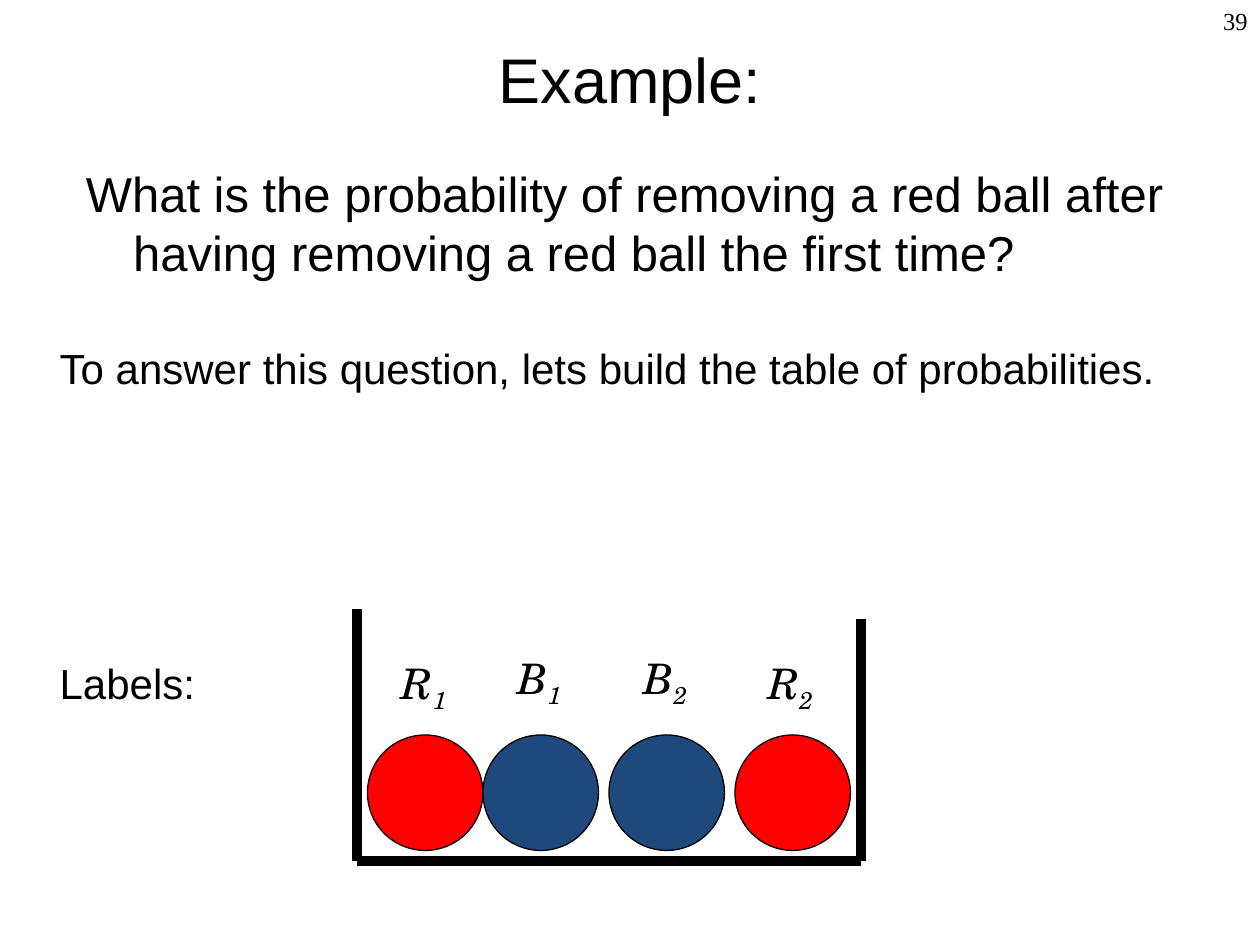
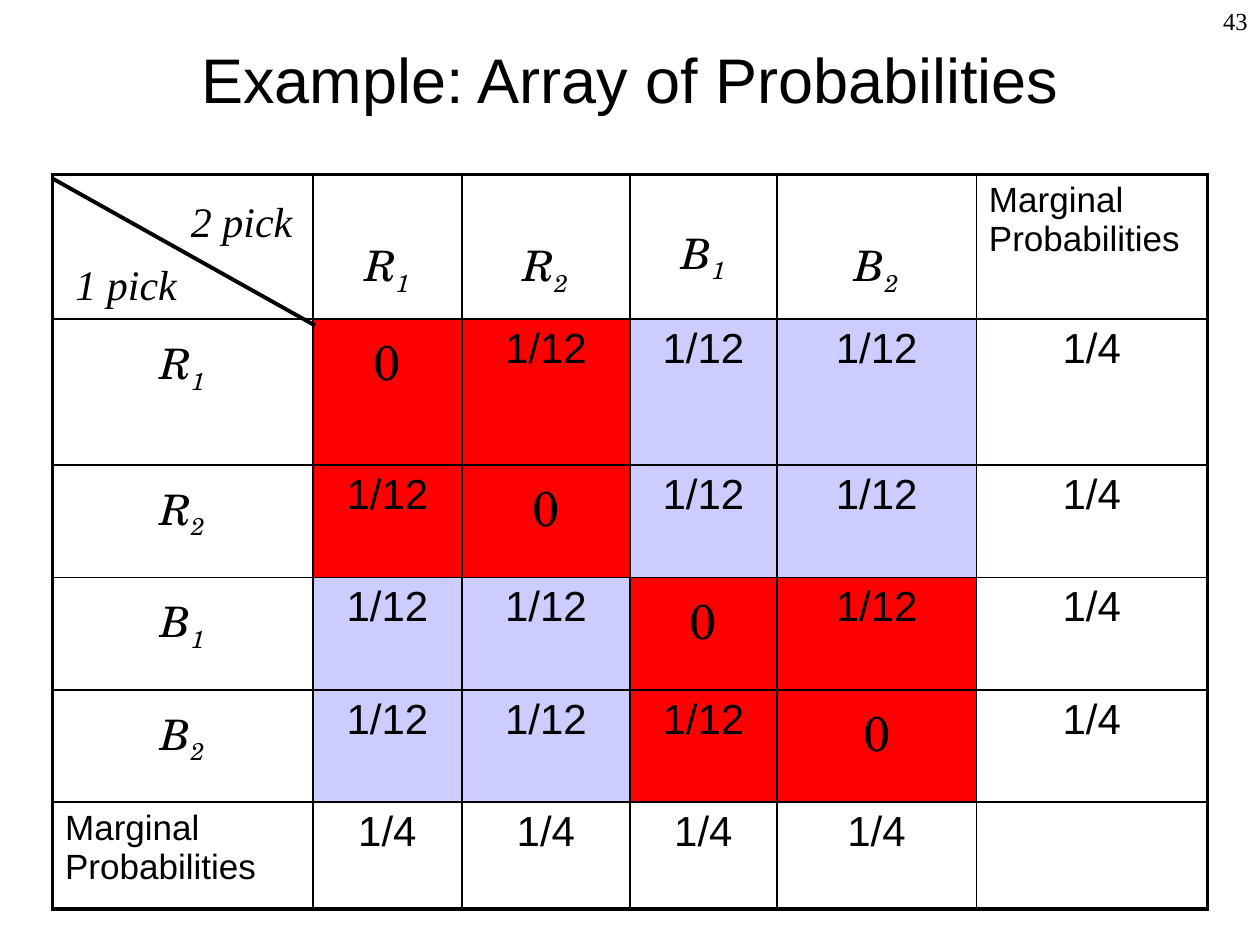
from dataclasses import dataclass

from lxml import etree
from pptx import Presentation
from pptx.dml.color import RGBColor
from pptx.enum.shapes import MSO_CONNECTOR, MSO_SHAPE
from pptx.enum.text import MSO_ANCHOR, PP_ALIGN
from pptx.oxml.ns import qn
from pptx.util import Pt

PX = 7620
LEFT, CENTER, RIGHT = PP_ALIGN.LEFT, PP_ALIGN.CENTER, PP_ALIGN.RIGHT
MIDDLE = MSO_ANCHOR.MIDDLE
OVAL = MSO_SHAPE.OVAL
STRAIGHT = MSO_CONNECTOR.STRAIGHT


@dataclass(frozen=True)
class Theme:
    ink: RGBColor = RGBColor(0, 0, 0)
    paper: RGBColor = RGBColor(255, 255, 255)
    red: RGBColor = RGBColor(255, 0, 0)
    blue: RGBColor = RGBColor(0x1F, 0x49, 0x7D)
    lilac: RGBColor = RGBColor(0xCC, 0xCC, 0xFF)
    sans: str = "Arial"
    serif: str = "Times New Roman"
    symbol: str = "TeX Gyre Schola"
    title: int = 36
    large: int = 28
    body: int = 24
    small: int = 20
    number: int = 14
    outer_border: float = 2.21
    inner_border: float = 0.96


theme = Theme()


def add_spans(para, texts, font, size, italic=False, align=LEFT, spacing=None):
    para.alignment = align
    para.line_spacing = spacing
    for index, text in enumerate(texts):
        span = para.add_run()
        span.text = text
        span.font.name = font
        span.font.size = Pt(size)
        span.font.italic = italic
        span.font.color.rgb = theme.ink
        if index:
            span.font._element.set("baseline", "-25000")


def add_box(page, x, y, width, height, texts, font, size, **style):
    box = page.shapes.add_textbox(x * PX, y * PX, width * PX, height * PX)
    box.text_frame.word_wrap = True
    para = box.text_frame.paragraphs[0]
    add_spans(para, texts, font, size, **style)
    return para


deck = Presentation()
deck.slide_width, deck.slide_height = 1200 * PX, 900 * PX

pages = []
for number, heading in [("39", "Example:"), ("43", "Example: Array of Probabilities")]:
    page = deck.slides.add_slide(deck.slide_layouts[5])
    title = page.shapes.title
    title.left, title.top, title.width, title.height = 90 * PX, 0, 1020 * PX, 150 * PX
    title.text_frame.vertical_anchor = MIDDLE
    add_spans(title.text_frame.paragraphs[0], [heading], theme.sans, theme.title, align=CENTER)
    add_box(page, 950, 0, 250, 60, [number], theme.serif, theme.number, align=RIGHT)
    pages.append(page)
urn_page, array_page = pages

question = add_box(
    urn_page, 70, 150, 1050, 330,
    ["What is the probability of removing a red ball after having removing a red ball the first time?"],
    theme.sans, theme.large)
indent = question._p.get_or_add_pPr()
indent.set("marL", str(45 * PX))
indent.set("indent", str(-45 * PX))

for y, text in [
    (320, "To answer this question, lets build the table of probabilities."),
    (620, "Labels:"),
]:
    add_box(urn_page, 45, y, 1110, 60, [text], theme.sans, theme.body)

balls = [("R1", 350, 371, 620), ("B1", 460, 481, 610), ("B2", 580, 601, 610), ("R2", 700, 720, 620)]
for name, x, label_x, label_y in balls:
    is_red = name[0] == "R"
    ball = urn_page.shapes.add_shape(OVAL, x * PX, 700 * PX, 110 * PX, 110 * PX)
    ball.shadow.inherit = False
    ball.fill.solid()
    ball.fill.fore_color.rgb = theme.red if is_red else theme.blue
    ball.line.color.rgb = theme.ink
    ball.line.width = Pt(0.75)
    add_box(urn_page, label_x, label_y, 80, 66, name, theme.symbol, theme.body,
            italic=True, spacing=None if is_red else 1.1)

column_widths = [248, 142, 160, 140, 190, 220]
row_heights = [138, 139, 107, 107, 107, 102]
picks = ["R1", "R2", "B1", "B2"]
last = len(picks) + 1
table = array_page.shapes.add_table(
    last + 1, last + 1, 50 * PX, 166 * PX, sum(column_widths) * PX, sum(row_heights) * PX).table
table.first_row = table.horz_banding = False
for column, width in zip(table.columns, column_widths):
    column.width = width * PX
for row, height in zip(table.rows, row_heights):
    row.height = height * PX

for row in range(last + 1):
    for column in range(last + 1):
        cell = table.cell(row, column)
        para = cell.text_frame.paragraphs[0]
        fill = theme.paper
        if (row, column) in [(0, last), (last, 0)]:
            add_spans(para, ["Marginal Probabilities"], theme.sans, theme.small)
        elif 0 in (row, column):
            if row != column:
                name = picks[max(row, column) - 1]
                add_spans(para, name, theme.symbol, theme.body, italic=True, align=CENTER, spacing=1.1)
                if row == 0:
                    cell.margin_top = (39 if name == "B1" else 51) * PX
        elif last in (row, column):
            if row != column:
                add_spans(para, ["1/4"], theme.sans, theme.body, align=CENTER)
        else:
            same_color = picks[row - 1][0] == picks[column - 1][0]
            fill = theme.red if same_color else theme.lilac
            if row == column:
                add_spans(para, ["0"], theme.symbol, theme.large, align=CENTER)
            else:
                add_spans(para, ["1/12"], theme.sans, theme.body, align=CENTER)

        properties = cell._tc.get_or_add_tcPr()
        for side, is_outer in [
            ("L", column == 0), ("R", column == last), ("T", row == 0), ("B", row == last),
        ]:
            width = theme.outer_border if is_outer else theme.inner_border
            border = etree.SubElement(properties, qn(f"a:ln{side}"), w=str(int(Pt(width))))
            solid = etree.SubElement(border, qn("a:solidFill"))
            etree.SubElement(solid, qn("a:srgbClr"), val=str(theme.ink))
        cell.fill.solid()
        cell.fill.fore_color.rgb = fill

for page, x1, y1, x2, y2, width in [
    (urn_page, 340, 580, 340, 820, 6),
    (urn_page, 340, 820, 820, 820, 6),
    (urn_page, 820, 820, 820, 590, 6),
    (array_page, 300, 310, 50, 170, 2.25),
]:
    line = page.shapes.add_connector(STRAIGHT, x1 * PX, y1 * PX, x2 * PX, y2 * PX)
    line.line.color.rgb = theme.ink
    line.line.width = Pt(width)
    etree.SubElement(line._element.spPr, qn("a:effectLst"))

for x, y, text in [(60, 240, "1 pick"), (170, 180, "2 pick")]:
    add_box(array_page, x, y, 140, 60, [text], theme.serif, theme.body, italic=True)

deck.save("out.pptx")
